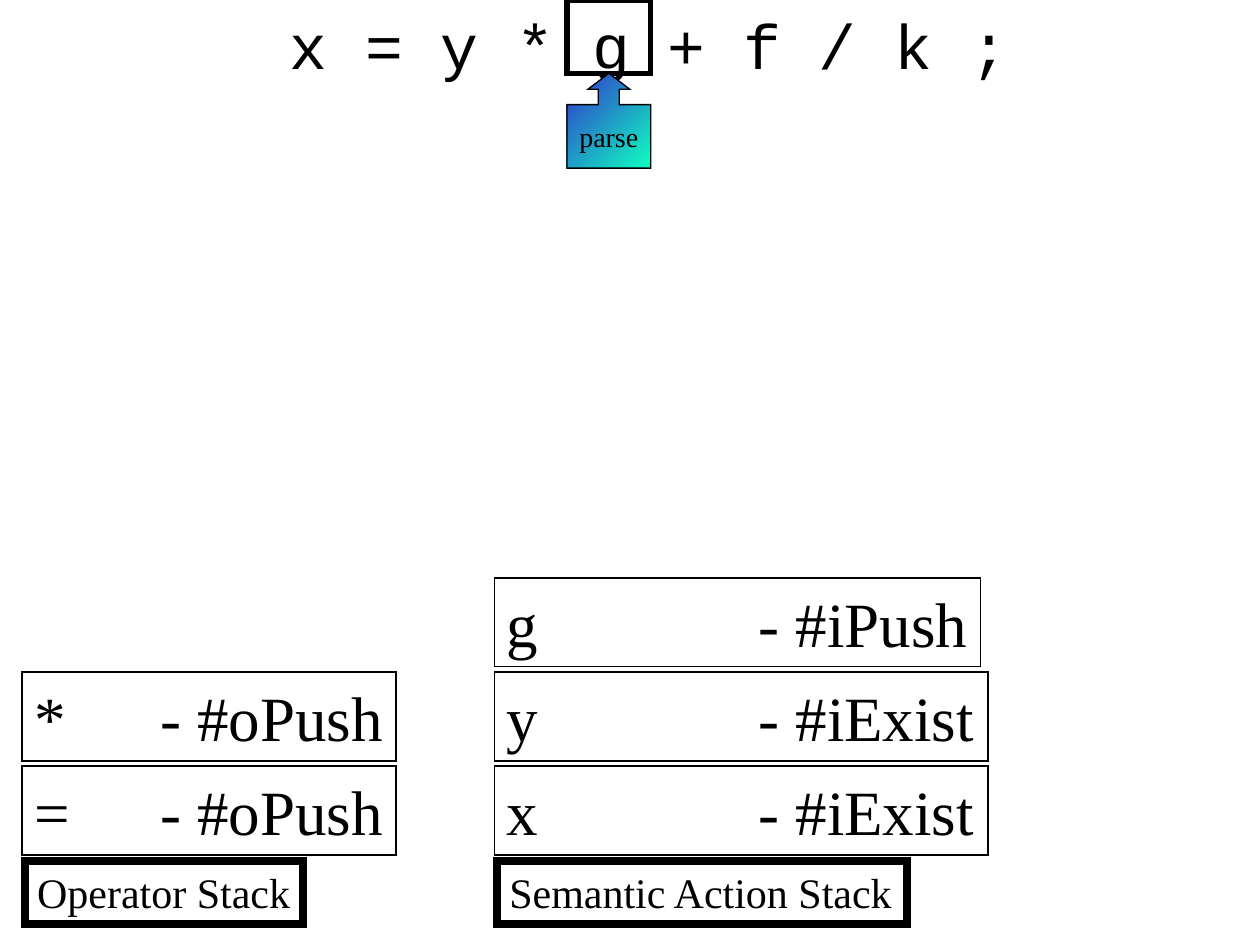
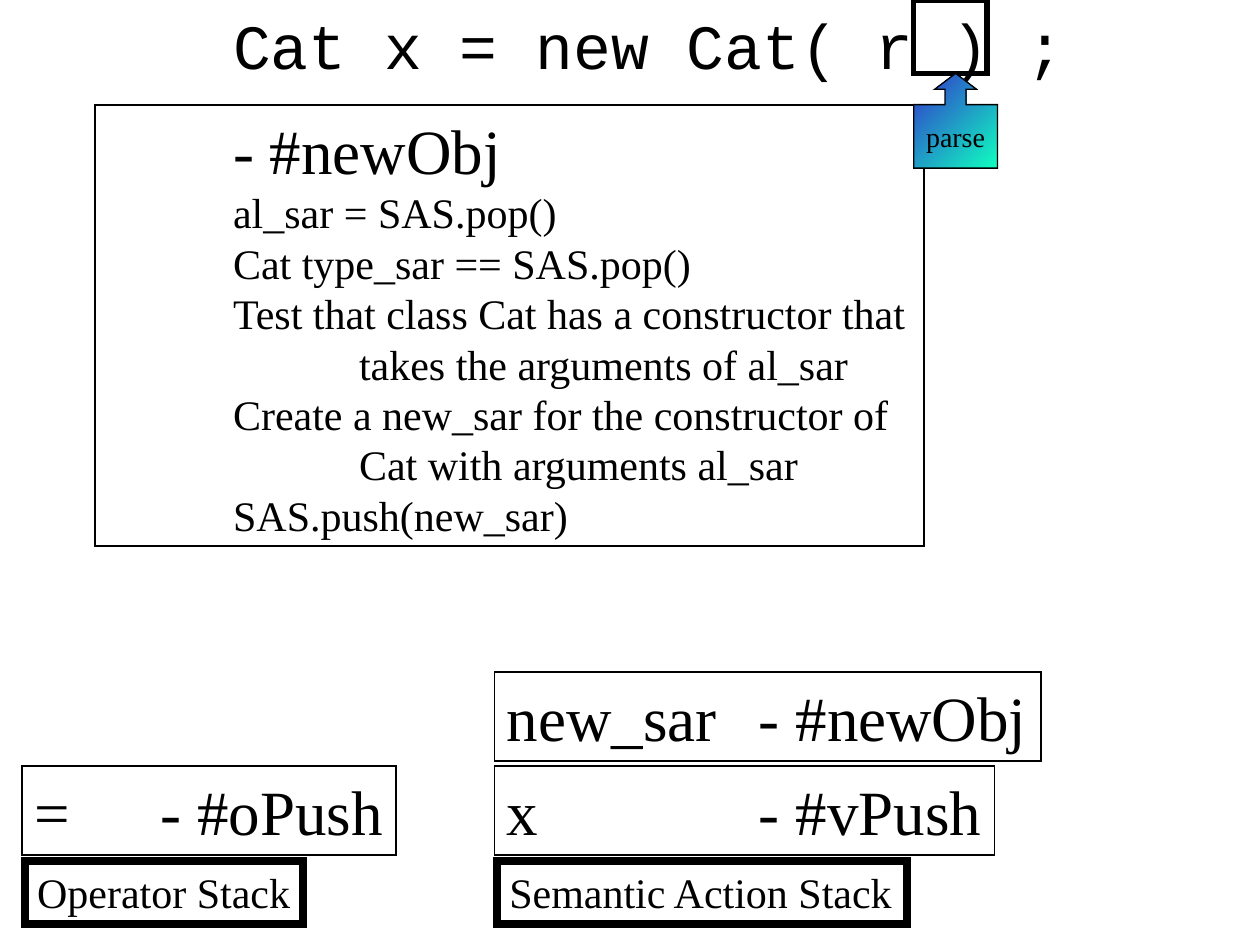
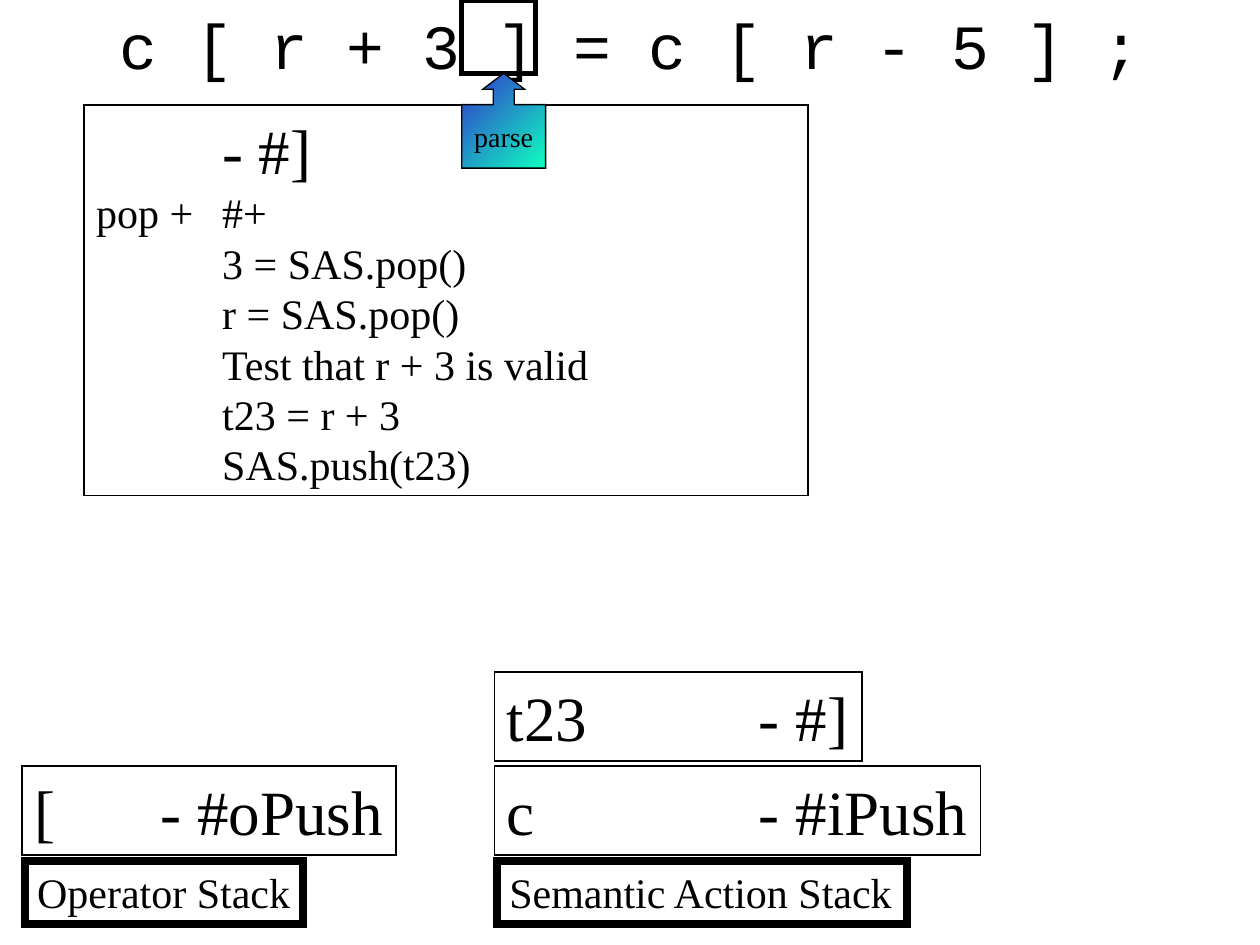
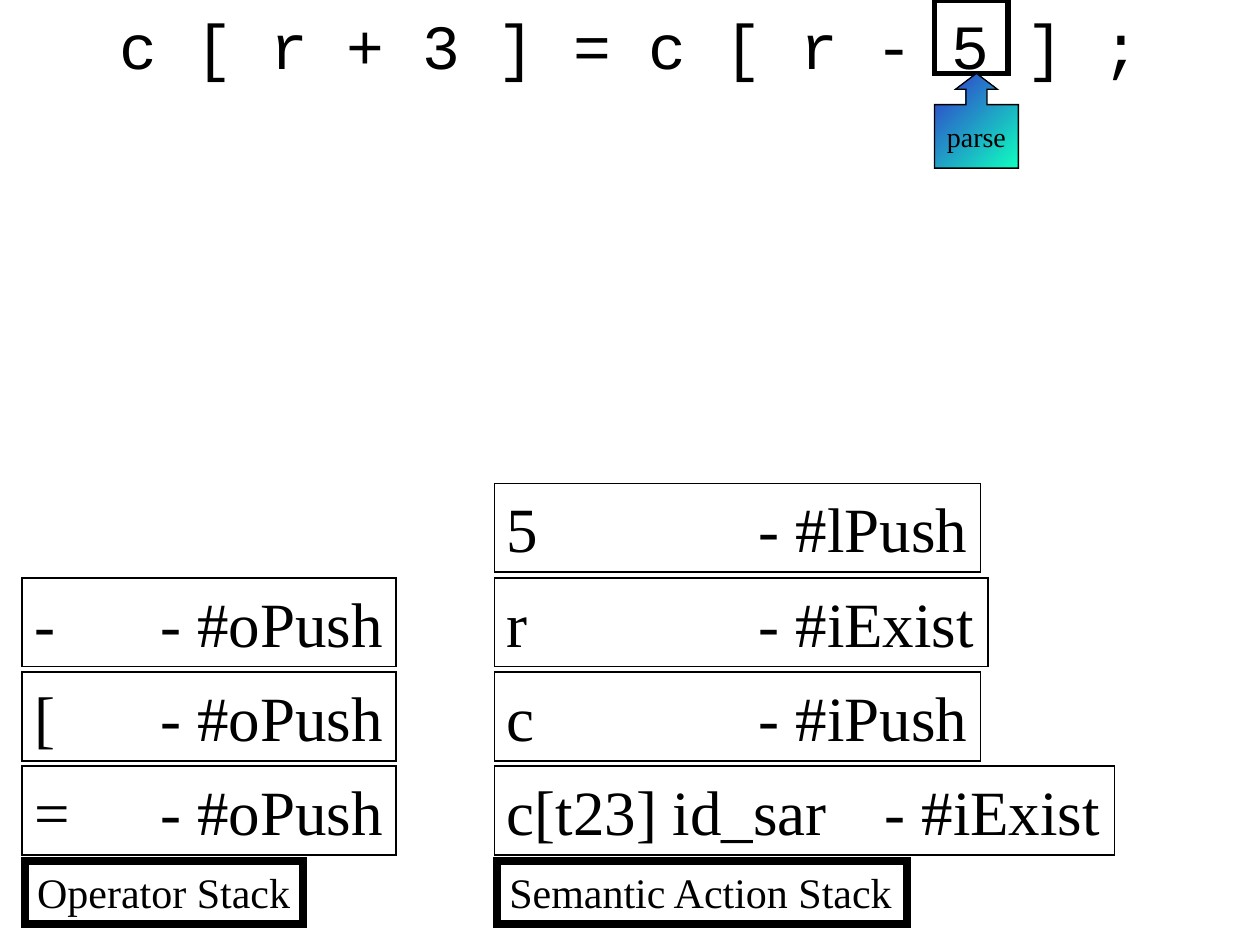
from pptx import Presentation
from pptx import util as u
from pptx.dml.color import RGBColor
from pptx.enum import shapes, text
from pptx.oxml.ns import qn
from lxml import etree

COLORS = {"ink": "000000", "callout_start": "3333CC", "callout_end": "0FFFC0"}
SERIF = "Times New Roman"
MONO = "Courier New"
SLIDE_WIDTH, SLIDE_HEIGHT = 25.4, 19.05
LABEL_TOP, LABEL_HEIGHT = 17.35, 1.28
ENTRY_TOP, ENTRY_HEIGHT, ENTRY_PITCH = 15.45, 1.79, 1.9
OPERATOR_LEFT, ACTION_LEFT = 0.45, 9.97
LABEL_INDENT = 0.05
OPERATOR_WIDTH = 7.54
MARKER_HEIGHT = 1.48
PANEL_TOP = 2.12

SLIDES = [
    {
        "expression": " x = y * g + f / k ;",
        "marker": (11.43, 1.69),
        "operators": ["=", "*"],
        "actions": [("x\t\t- #iExist", 9.95), ("y\t\t- #iExist", 9.95),
                    ("g\t\t- #iPush", 9.8)],
    },
    {
        "expression": " Cat x = new Cat( r ) ;",
        "marker": (18.42, 1.48),
        "operators": ["="],
        "actions": [("x\t\t- #vPush", 10.08), ("new_sar\t- #newObj", 11.02)],
        "panel": (1.91, 16.72, 8.89, [
            "\t- #newObj",
            "\tal_sar = SAS.pop()",
            "\tCat type_sar == SAS.pop()",
            "\tTest that class Cat has a constructor that",
            "\t\ttakes the arguments of al_sar",
            "\tCreate a new_sar for the constructor of",
            "\t\tCat with arguments al_sar",
            "\tSAS.push(new_sar)",
        ]),
    },
    {
        "expression": "c [ r + 3 ] = c [ r - 5 ] ;",
        "marker": (9.31, 1.48),
        "operators": ["["],
        "actions": [("c\t\t- #iPush", 9.8), ("t23\t\t- #]", 7.41)],
        "panel": (1.69, 14.6, 7.87, [
            " \t- #]",
            "pop +\t#+",
            "\t3 = SAS.pop()",
            "\tr = SAS.pop()",
            "\tTest that r + 3 is valid",
            "\tt23 = r + 3",
            "\tSAS.push(t23)",
        ]),
    },
    {
        "expression": "c [ r + 3 ] = c [ r - 5 ] ;",
        "marker": (18.84, 1.48),
        "operators": ["=", "[", "-"],
        "actions": [("c[t23] id_sar\t- #iExist", 12.5), ("c\t\t- #iPush", 9.8),
                    ("r\t\t- #iExist", 9.95), ("5\t\t- #lPush", 9.8)],
    },
]


def color(name):
    return RGBColor.from_string(COLORS[name])


def set_tab_stops(paragraph):
    properties = paragraph._p.get_or_add_pPr()
    tab_list = etree.SubElement(properties, qn("a:tabLst"))
    for stop in range(8):
        etree.SubElement(tab_list, qn("a:tab"), pos=str(u.Cm(2.54 * stop)), algn="l")


def format_paragraph(paragraph, size, font_name=SERIF, alignment=text.PP_ALIGN.LEFT):
    paragraph.alignment = alignment
    set_tab_stops(paragraph)
    paragraph.font.size = u.Pt(size)
    paragraph.font.name = font_name
    paragraph.font.color.rgb = color("ink")


def add_outline(slide, box, line_width, kind=shapes.MSO_SHAPE.RECTANGLE):
    shape = slide.shapes.add_shape(kind, *(u.Cm(length) for length in box))
    shape.shadow.inherit = False
    shape.fill.background()
    shape.line.color.rgb = color("ink")
    shape.line.width = u.Pt(line_width)
    line = shape._element.spPr.find(qn("a:ln"))
    etree.SubElement(line, qn("a:miter"), lim="800000")
    return shape


def add_text_box(slide, box, lines, sizes, line_width=1, wrap=False):
    shape = add_outline(slide, box, line_width)
    frame = shape.text_frame
    frame.text = "\n".join(lines)
    frame.word_wrap = wrap
    frame.auto_size = text.MSO_AUTO_SIZE.SHAPE_TO_FIT_TEXT
    frame.vertical_anchor = text.MSO_ANCHOR.TOP
    for paragraph, size in zip(frame.paragraphs, sizes):
        format_paragraph(paragraph, size)


def place_expression(slide, expression):
    title = slide.shapes.title
    title.left, title.top = u.Cm(0), u.Cm(0)
    title.width, title.height = u.Cm(SLIDE_WIDTH), u.Cm(ENTRY_HEIGHT)
    frame = title.text_frame
    frame.text = expression
    frame.word_wrap = True
    frame.auto_size = text.MSO_AUTO_SIZE.SHAPE_TO_FIT_TEXT
    frame.vertical_anchor = text.MSO_ANCHOR.TOP
    format_paragraph(frame.paragraphs[0], 36, MONO, text.PP_ALIGN.CENTER)


def add_stack(slide, left, label, label_width, entries):
    label_box = (left + LABEL_INDENT, LABEL_TOP, label_width, LABEL_HEIGHT)
    add_text_box(slide, label_box, [label], [24], line_width=4.5)
    for level, (entry, width) in enumerate(entries):
        top = ENTRY_TOP - level * ENTRY_PITCH
        add_text_box(slide, (left, top, width, ENTRY_HEIGHT), [entry], [36])


def add_action_panel(slide, left, width, height, lines):
    sizes = [36] + [24] * (len(lines) - 1)
    add_text_box(slide, (left, PANEL_TOP, width, height), lines, sizes, wrap=True)


def add_parse_marker(slide, left, width):
    add_outline(slide, (left, 0, width, MARKER_HEIGHT), 3)
    callout = add_outline(slide, (left, MARKER_HEIGHT, 1.69, 1.91), 0.75,
                          shapes.MSO_SHAPE.UP_ARROW_CALLOUT)
    for index, value in enumerate((0.25, 0.25, 0.19, 0.67)):
        callout.adjustments[index] = value
    callout.fill.gradient()
    callout.fill.gradient_angle = 315
    stops = callout.fill.gradient_stops
    for stop, position, name in zip(stops, (0, 1), ("callout_start", "callout_end")):
        stop.position = position
        stop.color.rgb = color(name)
    frame = callout.text_frame
    frame.text = "parse"
    frame.word_wrap = False
    frame.vertical_anchor = text.MSO_ANCHOR.MIDDLE
    format_paragraph(frame.paragraphs[0], 16, alignment=text.PP_ALIGN.CENTER)


def add_parse_slide(presentation, content):
    slide = presentation.slides.add_slide(presentation.slide_layouts[5])
    place_expression(slide, content["expression"])
    operators = [(f"{operator} \t- #oPush", OPERATOR_WIDTH)
                 for operator in content["operators"]]
    add_stack(slide, OPERATOR_LEFT, "Operator Stack", 5.61, operators)
    add_stack(slide, ACTION_LEFT, "Semantic Action Stack", 8.26, content["actions"])
    if "panel" in content:
        add_action_panel(slide, *content["panel"])
    add_parse_marker(slide, *content["marker"])


def main():
    presentation = Presentation()
    presentation.slide_width = u.Cm(SLIDE_WIDTH)
    presentation.slide_height = u.Cm(SLIDE_HEIGHT)
    for content in SLIDES:
        add_parse_slide(presentation, content)
    presentation.save("out.pptx")


if __name__ == "__main__":
    main()
